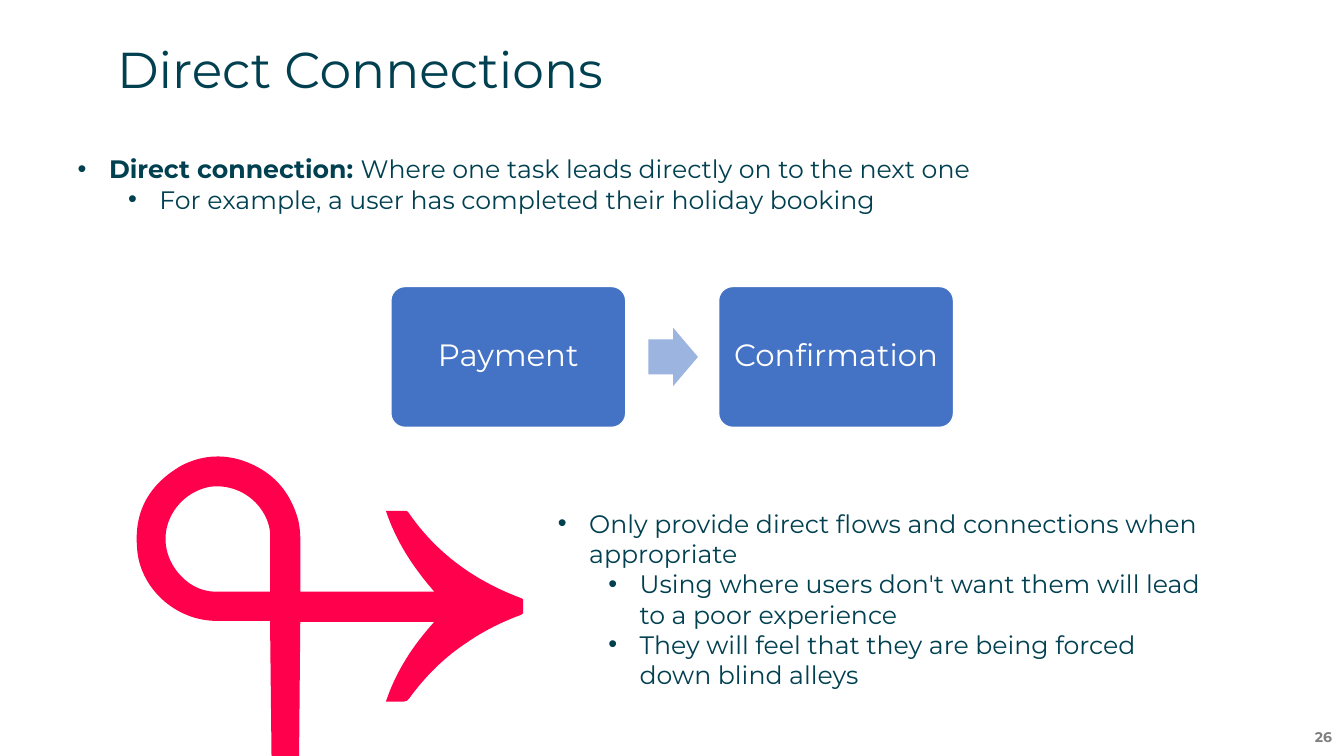
from lxml import etree
from pptx import Presentation
from pptx import util as u
from pptx.dml.color import RGBColor
from pptx.enum import shapes, text
from pptx.oxml.ns import qn

FONT = "Montserrat"
TEAL = RGBColor(0x00, 0x40, 0x50)
PINK = RGBColor(0xFF, 0x00, 0x4C)
BLUE = RGBColor(0x44, 0x72, 0xC4)
PALE_BLUE = RGBColor(0x9C, 0xB4, 0xE0)
GREY = RGBColor(0x80, 0x80, 0x80)
WHITE = RGBColor(0xFF, 0xFF, 0xFF)

UNIT = u.Cm(0.0254)

# Each contour is a start point, then lines (x, y) and
# cubic curves (x1, y1, x2, y2, x, y), all in UNITs.
RIBBON_OUTLINE = [
    (180, 462), (149, 480, 133, 506, 136, 543), (138, 583, 174, 616, 215, 616),
    (268, 616), (269, 708, 270, 799, 271, 890), (296, 844), (298, 617), (431, 617),
    (410, 640, 393, 666, 383, 696), (401, 696),
    (403, 696, 405, 695, 406, 693), (422, 671, 441, 652, 464, 637),
    (480, 626, 498, 617, 517, 610), (519, 609, 520, 608, 519, 606),
    (519, 603, 519, 600, 519, 597), (520, 595, 519, 594, 516, 593),
    (471, 576, 433, 549, 405, 508), (405, 508, 404, 507, 403, 507),
    (383, 507), (393, 537, 410, 563, 431, 587), (298, 587), (298, 584),
    (298, 567, 298, 550, 298, 533), (298, 527, 297, 521, 296, 516),
    (288, 487, 270, 467, 241, 457), (220, 450, 199, 452, 180, 462),
]
RIBBON_LOOP = [
    (261, 508), (266, 516, 269, 526, 268, 535), (268, 583), (268, 587),
    (268, 587, 267, 587, 267, 587), (214, 587),
    (198, 587, 185, 579, 175, 566), (150, 532, 172, 490, 208, 483),
    (229, 480, 250, 490, 261, 508),
]


def add_ribbon(s):
    """Draw both contours through their end points, then bend the curved segments."""
    outline, loop = ([(x * UNIT, y * UNIT) for *_, x, y in contour]
                     for contour in (RIBBON_OUTLINE, RIBBON_LOOP))
    fb = s.shapes.build_freeform(*outline[0])
    fb.add_line_segments(outline[1:])
    fb.move_to(*loop[0])
    fb.add_line_segments(loop[1:])
    sp = fb.convert_to_shape()
    paint(sp, PINK)

    segments = [seg for contour in (RIBBON_OUTLINE, RIBBON_LOOP) for seg in contour[1:]]
    for line, seg in zip(list(sp._element.iter(qn("a:lnTo"))), segments):
        if len(seg) == 6:
            line.tag = qn("a:cubicBezTo")
            for i, (x, y) in enumerate((seg[:2], seg[2:4])):
                pt = etree.Element(qn("a:pt"), x=str(x * UNIT - sp.left),
                                   y=str(y * UNIT - sp.top))
                line.insert(i, pt)


def paint(sp, fill):
    sp.shadow.inherit = False
    sp.fill.solid()
    sp.fill.fore_color.rgb = fill
    sp.line.fill.background()


def style_run(r, size, color, bold=False):
    r.font.name, r.font.size, r.font.bold = FONT, u.Pt(size), bold
    r.font.color.rgb = color


def set_insets(tf, inset):
    tf.margin_left = tf.margin_right = tf.margin_top = tf.margin_bottom = inset


def add_textbox(s, left, top, width, height):
    tf = s.shapes.add_textbox(u.Cm(left), u.Cm(top), u.Cm(width), u.Cm(height)).text_frame
    tf.word_wrap = True
    return tf


def add_line_of_text(s, box, words, size, color, bold=False):
    tf = add_textbox(s, *box)
    set_insets(tf, 0)
    tf.text = words
    style_run(tf.paragraphs[0].runs[0], size, color, bold)
    return tf


def add_bullets(s, box, items):
    """items holds (level, words) or (level, bold lead, words)."""
    tf = add_textbox(s, *box)
    for i, (level, *parts) in enumerate(items):
        p = tf.add_paragraph() if i else tf.paragraphs[0]
        p.level = level
        for part in parts:
            r = p.add_run()
            r.text = part
            style_run(r, 18, TEAL, part is not parts[-1])
        pPr = p._p.get_or_add_pPr()
        pPr.set("marL", str(u.Cm(0.79 + 1.27 * level)))
        pPr.set("indent", str(-u.Cm(0.79)))
        etree.SubElement(pPr, qn("a:buFont")).set("typeface", "Arial")
        etree.SubElement(pPr, qn("a:buChar")).set("char", "•")


def add_step(s, left, label):
    sp = s.shapes.add_shape(shapes.MSO_SHAPE.ROUNDED_RECTANGLE,
                            u.Cm(left), u.Cm(7.22), u.Cm(5.92), u.Cm(3.55))
    sp.adjustments[0] = 0.1
    paint(sp, BLUE)
    sp.line.color.rgb = WHITE
    sp.line.width = u.Pt(1)
    tf = sp.text_frame
    set_insets(tf, u.Cm(0.23))
    tf.margin_bottom = u.Cm(0.27)
    tf.word_wrap = True
    tf.vertical_anchor = text.MSO_ANCHOR.MIDDLE
    tf.text = label
    p = tf.paragraphs[0]
    p.alignment = text.PP_ALIGN.CENTER
    p.line_spacing = 0.9
    style_run(p.runs[0], 22, WHITE)


def add_step_arrow(s):
    sp = s.shapes.add_shape(shapes.MSO_SHAPE.RIGHT_ARROW,
                            u.Cm(16.34), u.Cm(8.26), u.Cm(1.25), u.Cm(1.47))
    sp.adjustments[0] = 0.6
    sp.adjustments[1] = 0.5
    paint(sp, PALE_BLUE)


def main():
    prs = Presentation()
    prs.slide_width, prs.slide_height = u.Cm(33.87), u.Cm(19.05)
    s = prs.slides.add_slide(prs.slide_layouts[6])

    add_ribbon(s)
    title = add_line_of_text(s, (2.95, 1.01, 29.59, 1.4), "Direct Connections", 36, TEAL)
    title.paragraphs[0].line_spacing = u.Pt(42)
    add_bullets(s, (1.71, 3.75, 25.45, 2.57), [
        (0, "Direct connection: ", "Where one task leads directly on to the next one"),
        (1, "For example, a user has completed their holiday booking"),
    ])
    add_bullets(s, (13.81, 12.68, 16.94, 4.88), [
        (0, "Only provide direct flows and connections when appropriate"),
        (1, "Using where users don't want them will lead to a poor experience"),
        (1, "They will feel that they are being forced down blind alleys"),
    ])
    number = add_line_of_text(s, (31.39, 18.28, 2.18, 0.51), "26", 10, GREY, True)
    number.vertical_anchor = text.MSO_ANCHOR.BOTTOM
    number.paragraphs[0].alignment = text.PP_ALIGN.RIGHT

    add_step(s, 9.85, "Payment")
    add_step_arrow(s)
    add_step(s, 18.11, "Confirmation")

    prs.save("out.pptx")


if __name__ == "__main__":
    main()
